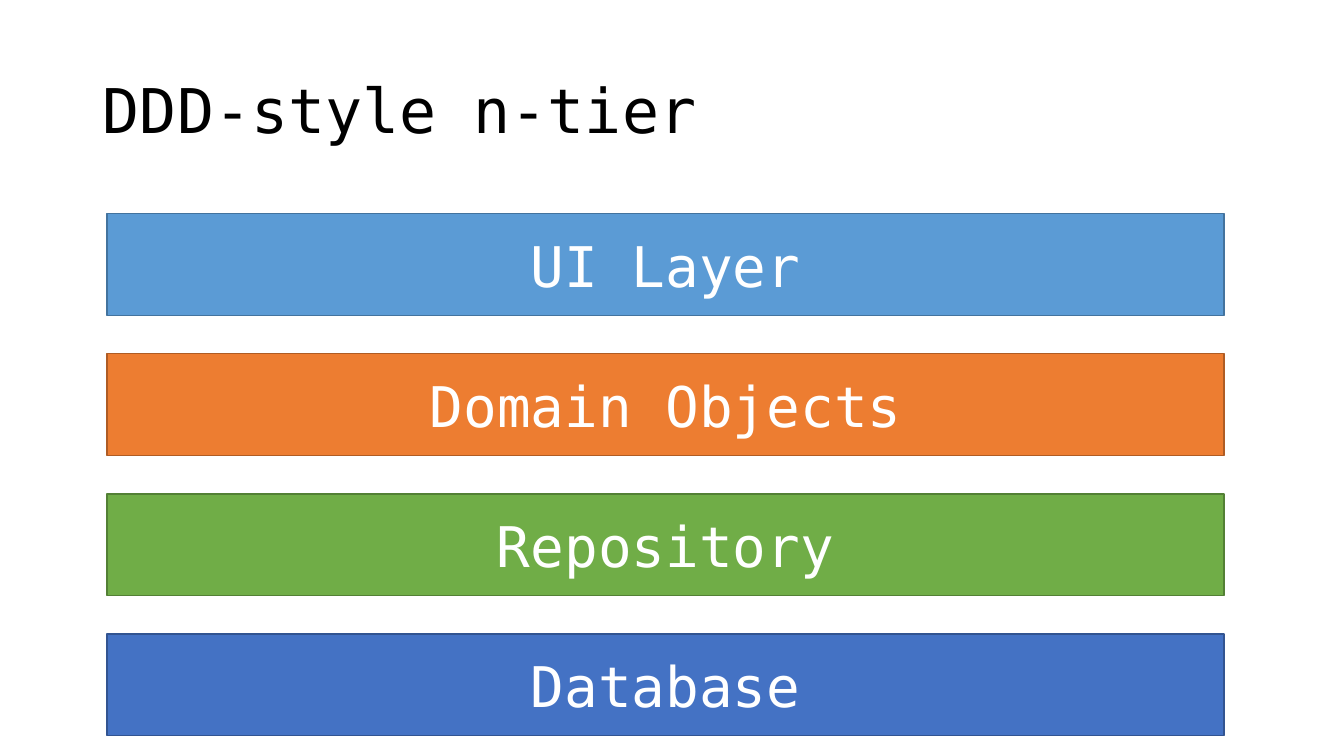
from dataclasses import dataclass

from pptx import Presentation
from pptx.dml.color import RGBColor as RGB
from pptx.enum.shapes import MSO_SHAPE as Shape
from pptx.enum.text import MSO_ANCHOR as Anchor, MSO_AUTO_SIZE as Fit, PP_ALIGN as Align
from pptx.slide import Slide
from pptx.text.text import TextFrame
from pptx.util import Inches, Pt

WIDE, HIGH = 13.33, 7.5
FONT = "DejaVu Sans Mono"
LEFT, TOP = 1.06, 2.12
WIDTH, HEIGHT, STEP = 11.08, 1.01, 1.39

COLORS = {
    "black": "000000", "white": "FFFFFF",
    "blue": "5B9BD5", "blue edge": "43739E",
    "orange": "ED7D31", "orange edge": "AF5C24",
    "green": "70AD47", "green edge": "538035",
    "navy": "4472C4", "navy edge": "325491",
}


@dataclass(frozen=True)
class Tier:
    name: str
    hue: str


TIERS = [
    Tier("UI Layer", "blue"),
    Tier("Domain Objects", "orange"),
    Tier("Repository", "green"),
    Tier("Database", "navy"),
]


def color(name: str) -> RGB:
    return RGB.from_string(COLORS[name])


def write(frame: TextFrame, text: str, *, size: int, hue: str,
          align: Align, spacing: float = 1.0) -> None:
    frame.word_wrap = True
    frame.auto_size = Fit.NONE
    frame.vertical_anchor = Anchor.MIDDLE
    para = frame.paragraphs[0]
    para.alignment = align
    para.line_spacing = spacing
    run = para.add_run()
    run.text = text
    run.font.name = FONT
    run.font.size = Pt(size)
    run.font.color.rgb = color(hue)


def add_title(slide: Slide, text: str) -> None:
    title = slide.shapes.title
    title.left, title.top = Inches(0.92), Inches(0.4)
    title.width, title.height = Inches(11.5), Inches(1.45)
    write(title.text_frame, text, size=44, hue="black", align=Align.LEFT, spacing=0.9)


def add_tier(slide: Slide, tier: Tier, row: int) -> None:
    bar = slide.shapes.add_shape(
        Shape.RECTANGLE, Inches(LEFT), Inches(TOP + row * STEP),
        Inches(WIDTH), Inches(HEIGHT))
    bar.shadow.inherit = False
    bar.fill.solid()
    bar.fill.fore_color.rgb = color(tier.hue)
    bar.line.color.rgb = color(f"{tier.hue} edge")
    bar.line.width = Pt(1)
    write(bar.text_frame, tier.name, size=40, hue="white", align=Align.CENTER)


def main() -> None:
    deck = Presentation()
    deck.slide_width, deck.slide_height = Inches(WIDE), Inches(HIGH)
    slide = deck.slides.add_slide(deck.slide_layouts.get_by_name("Title Only"))
    add_title(slide, "DDD-style n-tier")
    for row, tier in enumerate(TIERS):
        add_tier(slide, tier, row)
    deck.save("out.pptx")


if __name__ == "__main__":
    main()
